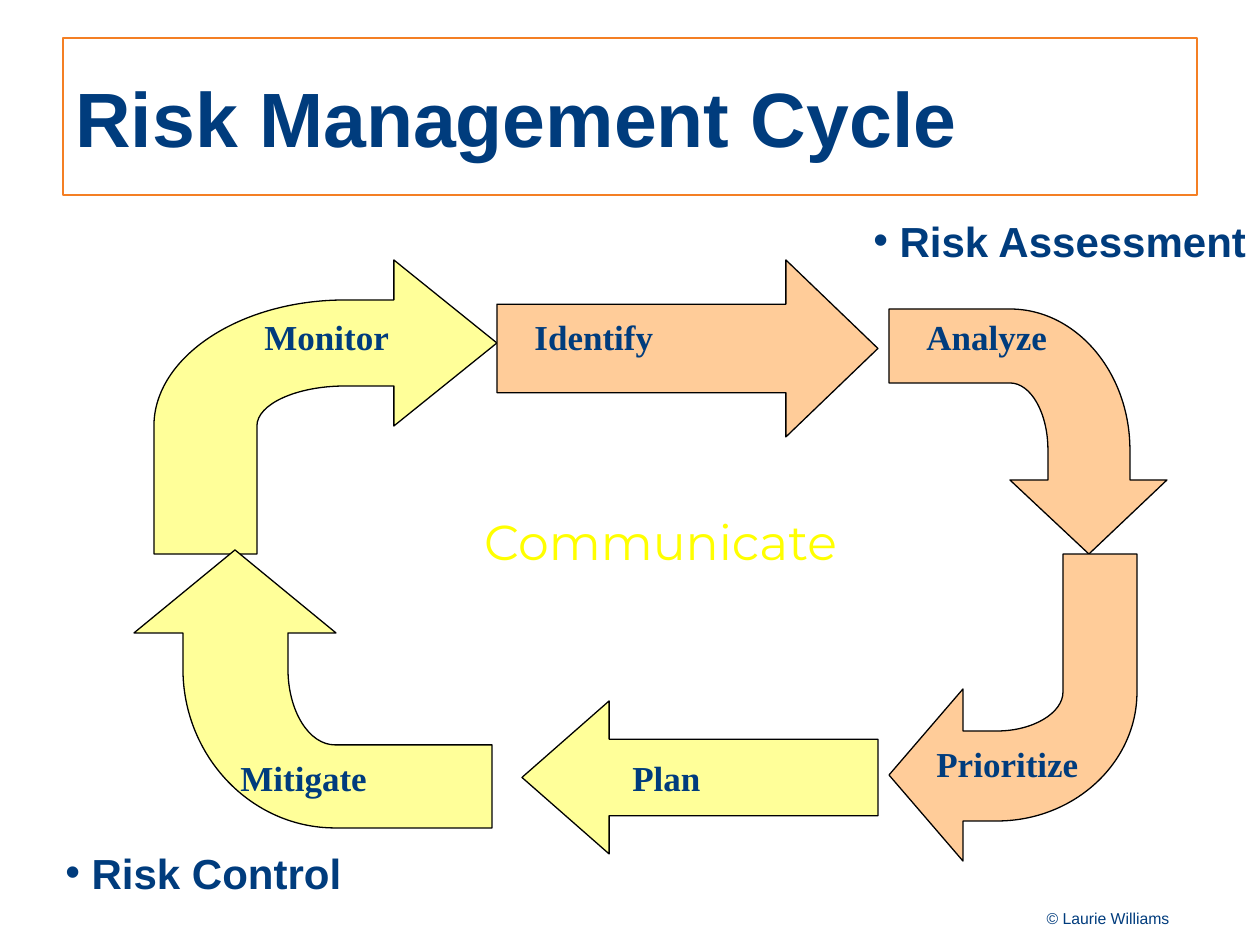
from lxml import etree
from pptx import Presentation
from pptx.dml.color import RGBColor
from pptx.enum.shapes import MSO_SHAPE
from pptx.enum.text import MSO_ANCHOR, PP_ALIGN
from pptx.oxml.ns import qn
from pptx.util import Pt

PX = 914400 // 126
NAVY = RGBColor(0x00, 0x3C, 0x7D)
ORANGE = RGBColor(0xF4, 0x7F, 0x24)
PEACH = RGBColor(0xFF, 0xCC, 0x99)
PALE = RGBColor(0xFF, 0xFF, 0x99)
YELLOW = RGBColor(0xFF, 0xFF, 0x00)
BLACK = RGBColor(0, 0, 0)

# Bent arrows: fill, head axis, then tip, barb, neck, outer arc (from, to),
# two tail corners, inner arc (from, to), neck, barb
BENT_ARROWS = [
    (PALE, "h", [(497, 343), (394, 260), (394, 300), (345, 300), (154, 426), (154, 554),
                 (257, 554), (257, 426), (345, 386), (394, 386), (394, 426)]),
    (PEACH, "v", [(1089, 554), (1167, 480), (1130, 480), (1130, 450), (1010, 309), (889, 309),
                  (889, 383), (1010, 383), (1048, 450), (1048, 480), (1010, 480)]),
    (PALE, "v", [(235, 550), (134, 633), (183, 633), (183, 669), (335, 828), (492, 828),
                 (492, 745), (335, 745), (288, 669), (288, 633), (336, 633)]),
    (PEACH, "h", [(889, 775), (963, 861), (963, 821), (997, 821), (1137, 692), (1137, 554),
                  (1063, 554), (1063, 692), (997, 731), (963, 731), (963, 689)]),
]
# Straight arrows: preset, box, head length ratio, fill
STRAIGHT_ARROWS = [
    (MSO_SHAPE.RIGHT_ARROW, (497, 260, 381, 177), 0.52, PEACH),
    (MSO_SHAPE.LEFT_ARROW, (522, 701, 356, 153), 0.57, PALE),
]
# Step labels: text, left, top, width
STEPS = [
    ("Identify", 522, 309, 245), ("Analyze", 914, 309, 220), ("Prioritize", 924, 736, 197),
    ("Plan", 620, 750, 270), ("Mitigate", 228, 750, 270), ("Monitor", 252, 309, 220),
]
PHASES = [(" Risk Assessment", 861, 209), (" Risk Control", 53, 841)]

prs = Presentation()
prs.slide_width, prs.slide_height = 1260 * PX, 945 * PX
slide = prs.slides.add_slide(prs.slide_layouts[6])


def emu(box):
    return [v * PX for v in box]


def paint(s, fill):
    s.shadow.inherit = False
    s.fill.solid()
    s.fill.fore_color.rgb = fill
    s.line.color.rgb = BLACK
    s.line.width = Pt(0.75)


def add_text(text, box, size, font="Arial", color=NAVY, bold=False, align=PP_ALIGN.LEFT, wrap=True):
    s = slide.shapes.add_textbox(*emu(box))
    tf = s.text_frame
    tf.word_wrap = wrap
    p = tf.paragraphs[0]
    p.alignment = align
    r = p.add_run()
    r.text = text
    r.font.size, r.font.name, r.font.bold = Pt(size), font, bold
    r.font.color.rgb = color
    return s


def arc_controls(start, end, axis):
    """Bezier controls of a quarter ellipse that leaves start along the axis."""
    corner = (end[0], start[1]) if axis == "h" else (start[0], end[1])
    return [tuple(round(a + 0.55 * (c - a)) for a, c in zip(pt, corner)) for pt in (start, end)]


def add_bent_arrow(fill, axis, pts):
    outer = arc_controls(pts[3], pts[4], axis)
    inner = arc_controls(pts[7], pts[8], "v" if axis == "h" else "h")
    outline = pts[:4] + outer + pts[4:8] + inner + pts[8:]
    fb = slide.shapes.build_freeform(*outline[0], scale=PX)
    fb.add_line_segments(outline[1:], close=True)
    s = fb.convert_to_shape()
    # Turn the line segments of each arc into one curve
    segments = list(s._element.iter(qn("a:lnTo")))
    for first in (3, 9):
        curve = etree.Element(qn("a:cubicBezTo"))
        segments[first].addprevious(curve)
        for seg in segments[first:first + 3]:
            curve.append(seg[0])
            seg.getparent().remove(seg)
    paint(s, fill)


# Title
title = add_text("Risk Management Cycle", (63, 38, 1134, 157), 44, bold=True)
title.text_frame.vertical_anchor = MSO_ANCHOR.MIDDLE
title.line.color.rgb = ORANGE
title.line.width = Pt(1)

# Cycle arrows
for arrow in BENT_ARROWS:
    add_bent_arrow(*arrow)
for preset, box, head, fill in STRAIGHT_ARROWS:
    s = slide.shapes.add_shape(preset, *emu(box))
    s.adjustments[0], s.adjustments[1] = 0.5, head
    paint(s, fill)

# Labels
for text, left, top, width in STEPS:
    add_text(text, (left, top, width, 73), 20, "Times New Roman", bold=True)
add_text("Communicate", (374, 505, 573, 106), 28, "Montserrat", YELLOW,
         align=PP_ALIGN.CENTER, wrap=False)

# Phases and credit
for text, left, top in PHASES:
    s = add_text(text, (left, top, 399, 93), 24, bold=True)
    pPr = s.text_frame.paragraphs[0]._p.get_or_add_pPr()
    etree.SubElement(pPr, qn("a:buFont"), typeface="Arial")
    etree.SubElement(pPr, qn("a:buChar"), char="•")
add_text("© Laurie Williams", (977, 903, 262, 42), 9, align=PP_ALIGN.CENTER)

prs.save("out.pptx")
